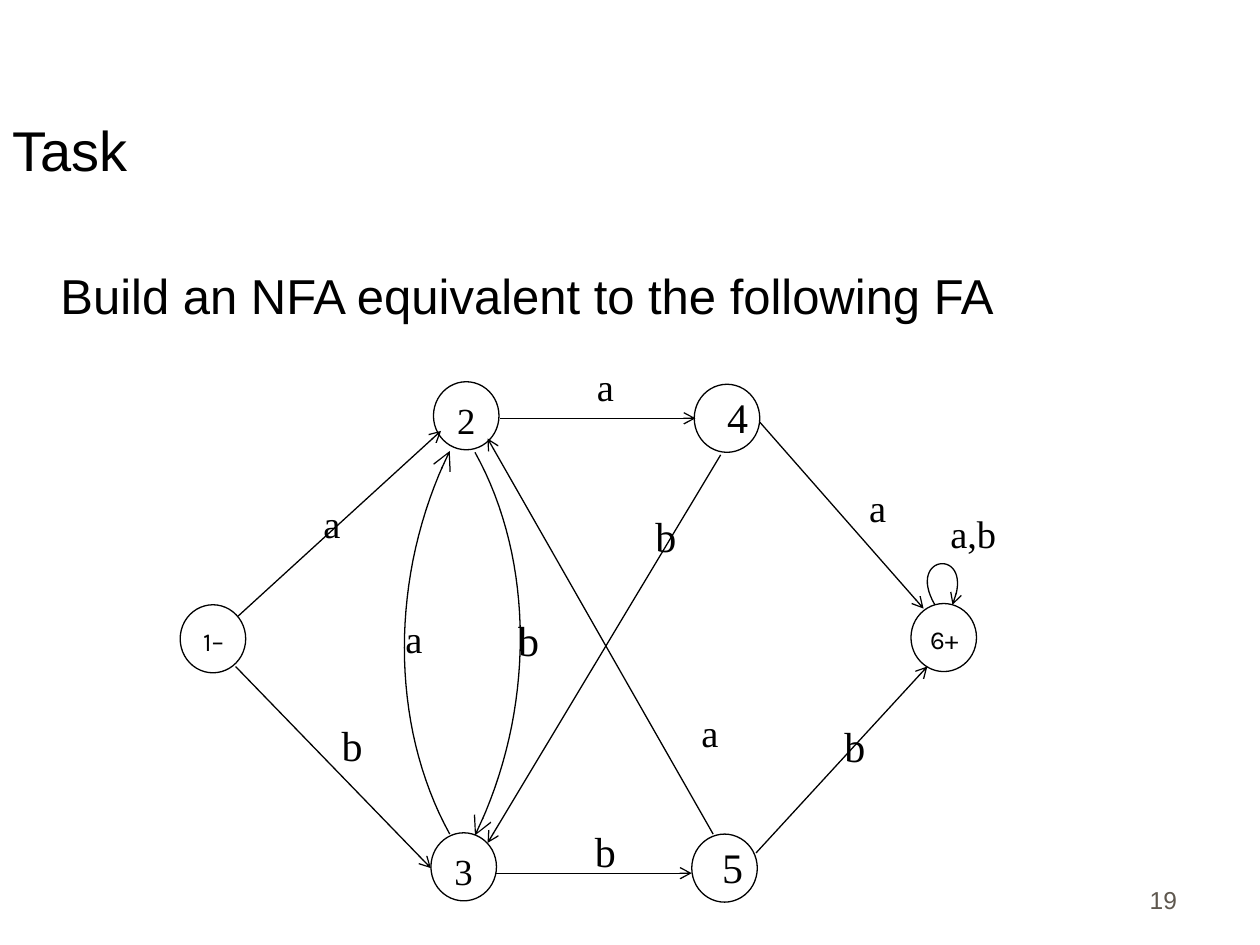
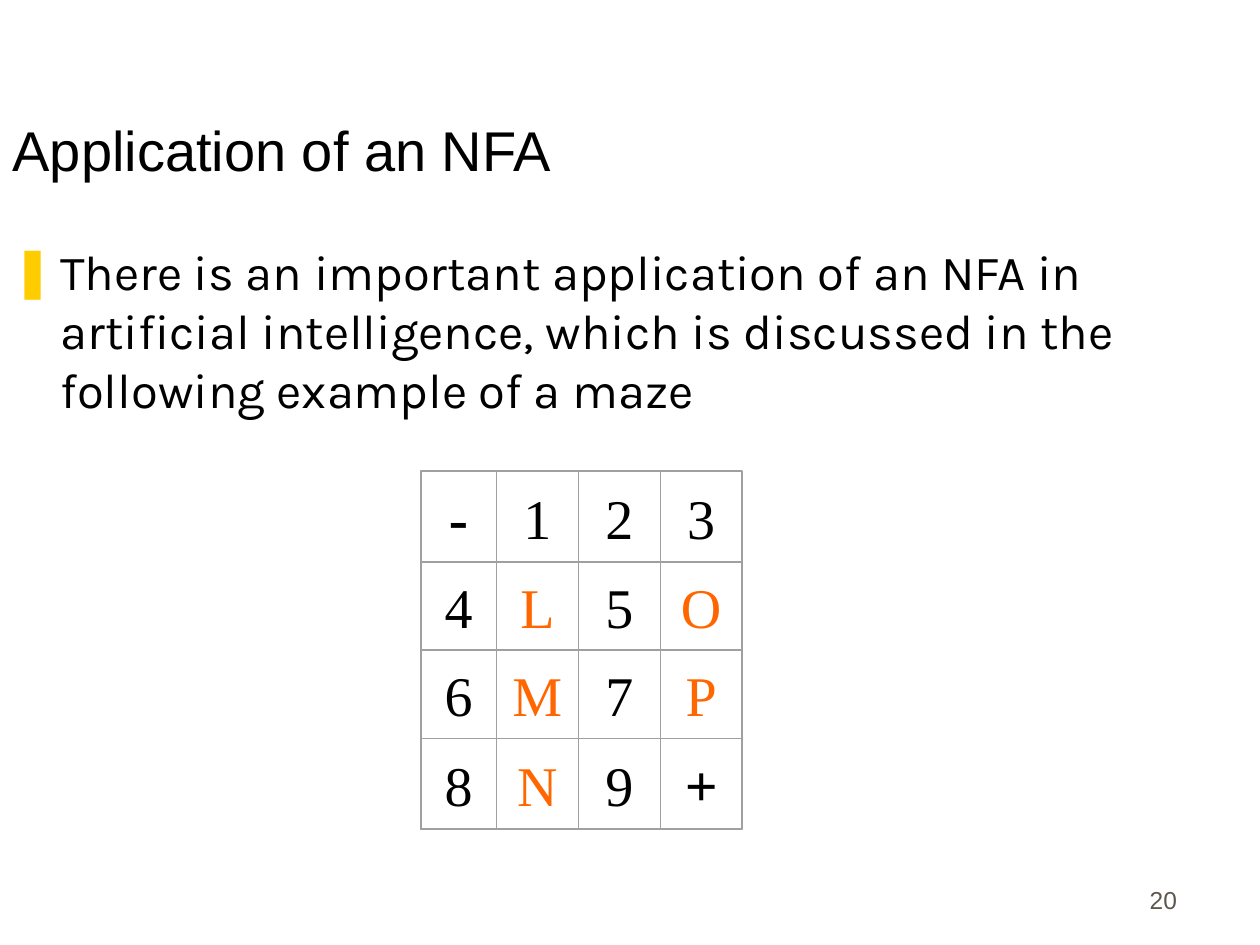
"""Build two slides on finite automata: a task graph and a maze."""
from lxml import etree
from pptx import Presentation
from pptx.dml.color import RGBColor
from pptx.enum.shapes import MSO_CONNECTOR, MSO_SHAPE
from pptx.enum.text import MSO_ANCHOR, MSO_AUTO_SIZE, PP_ALIGN
from pptx.oxml.ns import qn
from pptx.util import Inches, Pt

LEFT, MID, RIGHT = PP_ALIGN.LEFT, PP_ALIGN.CENTER, PP_ALIGN.RIGHT
TOP, CENTER, BOTTOM = MSO_ANCHOR.TOP, MSO_ANCHOR.MIDDLE, MSO_ANCHOR.BOTTOM
FIXED = MSO_AUTO_SIZE.NONE
OVAL, RECT, LINE = MSO_SHAPE.OVAL, MSO_SHAPE.RECTANGLE, MSO_CONNECTOR.STRAIGHT
SANS, SERIF, KARLA = "Arial", "Times New Roman", "Karla"
BLACK, WHITE, GREY = "000000", "FFFFFF", "5E574E"
GOLD, ORANGE, RULE = "FFCC00", "FF6600", "A0A0A0"

NODES = [(3.44, 3.03, "2"), (3.42, 6.61, "3"), (1.43, 4.8, ""),
         (7.23, 4.79, ""), (5.51, 3.05, ""), (5.49, 6.62, "")]
NAMES = [(5.49, 3.06, "4"), (5.45, 6.63, "5")]
ENDS = [(1.33, 4.83, "1–"), (7.13, 4.82, "6+")]
EDGES = [(3.97, 3.32, 5.52, 3.32), (3.94, 6.93, 5.49, 6.93),
         (1.89, 4.89, 3.5, 3.42), (1.87, 5.29, 3.42, 6.89),
         (6, 6.77, 7.36, 5.29), (6.03, 3.35, 7.33, 4.83),
         (5.66, 6.62, 3.87, 3.48), (5.72, 3.61, 3.87, 6.69)]
CURVES = [((3.77, 3.59), (4.25, 4.45), (4.25, 5.65), (3.77, 6.63), "lg"),
          ((3.57, 6.62), (3.09, 5.75), (3.09, 4.56), (3.57, 3.58), "lg"),
          ((7.42, 4.8), (7.18, 4.39), (7.75, 4.34), (7.56, 4.8), "med")]
MARKS = [(2.27, 3.92, "a"), (4.44, 2.83, "a"), (6.6, 3.79, "a"),
         (7.36, 4, "a,b"), (2.92, 4.83, "a"), (5.27, 5.58, "a"),
         (2.43, 5.66, "b"), (4.44, 6.5, "b"), (6.42, 5.67, "b"),
         (3.83, 4.83, "b"), (4.92, 4, "b")]
MAZE = ["-123", "4L5O", "6M7P", "8N9+"]
WIDE, HIGH = [0.6, 0.65, 0.65, 0.65], [0.72, 0.7, 0.7, 0.72]


def color(code):
    return RGBColor.from_string(code)


def write(frame, text, size=24, font=SERIF, ink=BLACK, bold=False,
          align=LEFT, anchor=TOP):
    frame.word_wrap = True
    frame.vertical_anchor = anchor
    para = frame.paragraphs[0]
    para.alignment = align
    para.space_before = Pt(0)
    run = para.add_run()
    run.text = text
    run.font.size = Pt(size)
    run.font.name = font
    run.font.bold = bold
    run.font.color.rgb = color(ink)


def place(shape, left, top, width, height):
    shape.left, shape.top = Inches(left), Inches(top)
    shape.width, shape.height = Inches(width), Inches(height)


def label(slide, left, top, text, width=0.73, height=0.51, **look):
    box = slide.shapes.add_textbox(Inches(left), Inches(top),
                                   Inches(width), Inches(height))
    write(box.text_frame, text, **look)


def indent(para, mark):
    props = para._p.get_or_add_pPr()
    props.set("marL", str(Inches(0.38)))
    props.set("indent", str(-Inches(0.38) if mark else 0))
    if mark:
        tint = etree.SubElement(props, qn("a:buClr"))
        etree.SubElement(tint, qn("a:srgbClr"), val=GOLD)
        etree.SubElement(props, qn("a:buChar"), char=mark)
    else:
        etree.SubElement(props, qn("a:buNone"))


def start(deck, title, text, page, top, height, mark="", font=SANS):
    slide = deck.slides.add_slide(deck.slide_layouts[1])
    head, body = slide.placeholders
    place(head, 0, 0.25, 8.5, 1.25)
    place(body, 0, top, 8.94, height)
    for holder in (head, body):
        holder.text_frame.auto_size = FIXED
    write(head.text_frame, title, size=32, font=SANS, anchor=BOTTOM)
    indent(body.text_frame.paragraphs[0], mark)
    write(body.text_frame, text, size=28, font=font)
    label(slide, 7.36, 6.81, page, width=2.08, height=0.5, size=14,
          font=SANS, ink=GREY, align=RIGHT, anchor=BOTTOM)
    return slide


def stroke(shape, ink=BLACK, width=0.75):
    shape.line.color.rgb = color(ink)
    shape.line.width = Pt(width)


def tip(shape, size="med"):
    line = shape._element.spPr.find(qn("a:ln"))
    etree.SubElement(line, qn("a:tailEnd"), type="arrow", w=size, len=size)


def draw(slide, kind, *area, fill=None, **rim):
    shape = slide.shapes.add_shape(kind, *map(Inches, area))
    shape.shadow.inherit = False
    if fill:
        shape.fill.solid()
        shape.fill.fore_color.rgb = color(fill)
    else:
        shape.fill.background()
    stroke(shape, **rim)
    return shape


def node(slide, left, top, text):
    oval = draw(slide, OVAL, left, top, 0.52, 0.54, fill=WHITE)
    if text:
        write(oval.text_frame, text, size=21, align=MID)


def edge(slide, *ends):
    line = slide.shapes.add_connector(LINE, *map(Inches, ends))
    stroke(line)
    tip(line)
    etree.SubElement(line._element.spPr, qn("a:effectLst"))


def bend(a, b, c, d, t):
    s = 1 - t
    return tuple(Inches(s**3 * p + 3 * s * s * t * q + 3 * s * t * t * r + t**3 * e)
                 for p, q, r, e in zip(a, b, c, d))


def curve(slide, a, b, c, d, size):
    steps = 32
    first, *rest = [bend(a, b, c, d, i / steps) for i in range(steps + 1)]
    pen = slide.shapes.build_freeform(*first)
    pen.add_line_segments(rest, close=False)
    arc = pen.convert_to_shape()
    arc.shadow.inherit = False
    arc.fill.background()
    stroke(arc)
    tip(arc, size)


def maze(slide):
    left, top = 3.34, 3.74
    for y, row in enumerate(MAZE):
        for x, sign in enumerate(row):
            cell = draw(slide, RECT, left + sum(WIDE[:x]), top + sum(HIGH[:y]),
                        WIDE[x], HIGH[y], ink=RULE, width=0)
            bold = sign in "-+"
            write(cell.text_frame, sign, size=33 if bold else 32, bold=bold,
                  ink=ORANGE if sign.isalpha() else BLACK,
                  align=MID, anchor=CENTER)
    draw(slide, RECT, left, top, sum(WIDE), sum(HIGH), ink=RULE, width=0.88)


def graph(slide):
    for spot in NODES:
        node(slide, *spot)
    for spot in ENDS:
        label(slide, *spot, size=14.8, font=KARLA, align=MID, anchor=CENTER)
    for spot in CURVES:
        curve(slide, *spot)
    for spot in EDGES:
        edge(slide, *spot)
    for spot in NAMES + MARKS:
        label(slide, *spot, size=22 if "a" in spot[2] else 24, align=MID)


def main():
    deck = Presentation()
    deck.slide_width, deck.slide_height = Inches(10), Inches(7.5)
    graph(start(deck, "Task", "Build an NFA equivalent to the following FA",
                "19", 2.06, 4.56))
    maze(start(deck, "Application of an NFA",
               "There is an important application of an NFA in artificial "
               "intelligence, which is discussed in the following example of a maze",
               "20", 1.87, 5.44, mark="❚", font=KARLA))
    deck.save("out.pptx")


if __name__ == "__main__":
    main()
